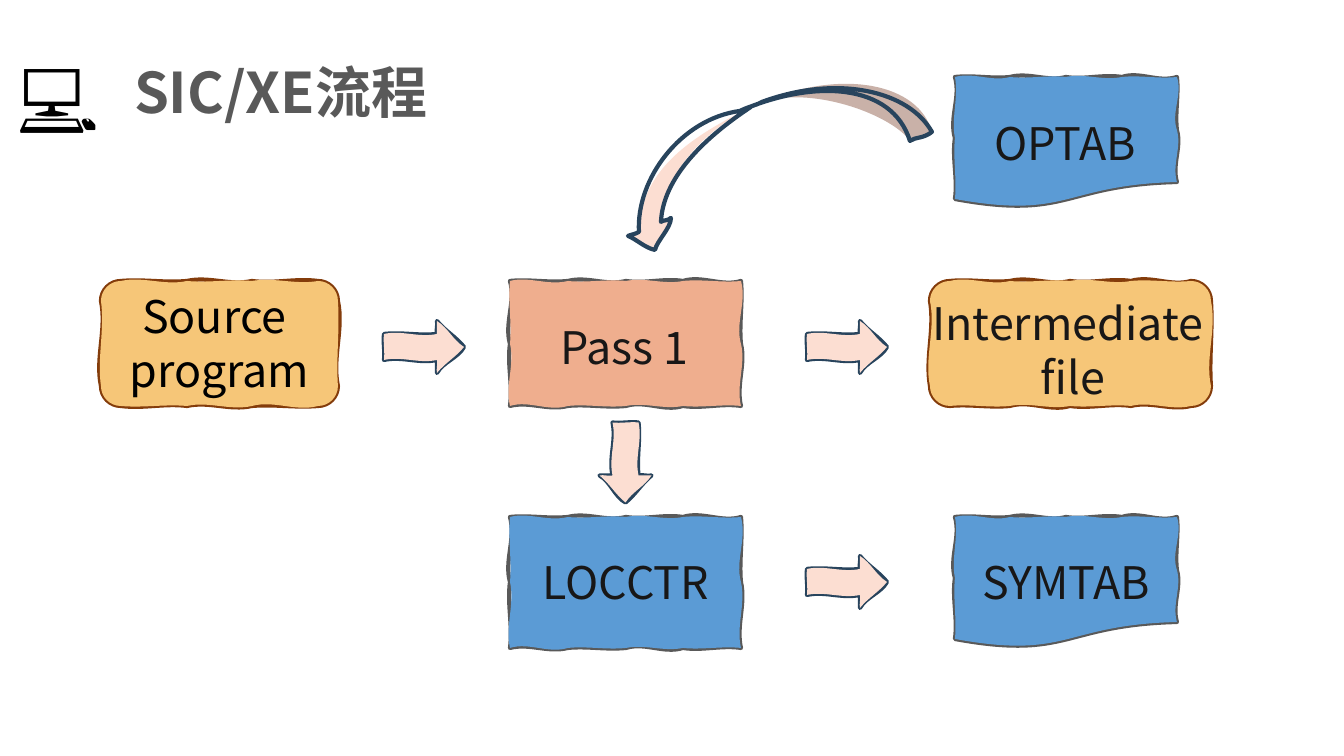
from copy import deepcopy
from itertools import cycle
from math import hypot

from lxml.etree import SubElement
from pptx import Presentation
from pptx.dml.color import RGBColor
from pptx.enum.text import MSO_ANCHOR, PP_ALIGN
from pptx.oxml.ns import qn
from pptx.util import Emu, Pt

SCALE = 914400 / 100.8  # EMU in one px
BLUE, SALMON, AMBER, PINK = "5B9BD5", "EFAE8E", "F6C678", "FCDED2"
GREY, BROWN, NAVY, INK = "595959", "843C0B", "28445D", "181717"


def px(n):
    return Emu(round(n * SCALE))


def rgb(value):
    return RGBColor.from_string(value)


def wobble(start, steps, swings):
    """Cubic control points: (x, y) is a shaky edge, a six-tuple one plain curve."""
    points, swing = [start], cycle(swings)
    for step in steps:
        x0, y0 = points[-1]
        if len(step) == 6:
            points += [step[:2], step[2:4], step[4:]]
            continue
        dx, dy = step[0] - x0, step[1] - y0
        length = hypot(dx, dy)
        pieces = max(1, round(length / 60))
        for i in range(pieces):
            d = next(swing) * min(1, length / 60) / length
            for t, side in ((1 / 3, d), (2 / 3, -d), (1, 0)):
                f = (i + t) / pieces
                points.append((x0 + dx * f + dy * side, y0 + dy * f - dx * side))
    return points


class Sketch:
    font = "Noto Sans CJK SC"

    def __init__(self, s):
        self.s = s

    def add_lines(self, tf, lines, size, color, align=None, bold=False):
        for i, line in enumerate(lines):
            p = tf.paragraphs[0] if i == 0 else tf.add_paragraph()
            p.alignment = align
            r = p.add_run()
            r.text = line
            r.font.size, r.font.bold, r.font.name = Pt(size), bold, self.font
            r.font.color.rgb = rgb(color)
            SubElement(r.font._element, qn("a:ea"), typeface=self.font)

    def title(self, text, x, y, w, h):
        sp = self.s.shapes.title
        sp.left, sp.top, sp.width, sp.height = map(px, (x, y, w, h))
        sp.text_frame.vertical_anchor = MSO_ANCHOR.TOP
        self.add_lines(sp.text_frame, [text], 40, GREY, PP_ALIGN.LEFT, True)

    def text(self, lines, x, y, w, h, size=32, color=INK, align=PP_ALIGN.CENTER, wrap=False):
        tf = self.s.shapes.add_textbox(*map(px, (x, y, w, h))).text_frame
        tf.word_wrap = wrap
        self.add_lines(tf, lines, size, color, align)

    def curves(self, contours, fill, line):
        """One freeform; each contour is (control points, path settings, closed)."""
        first = contours[0][0][0]
        builder = self.s.shapes.build_freeform(*first, scale=SCALE)
        for i, (points, _, closed) in enumerate(contours):
            if i:
                builder.move_to(*points[0])
            builder.add_line_segments(points[1:], close=closed)
        sp = builder.convert_to_shape()
        sp.shadow.inherit = False
        sp.fill.solid()
        sp.fill.fore_color.rgb = rgb(fill)
        sp.line.color.rgb = rgb(line)
        sp.line.width = Pt(3)
        # Give each contour its own path and join three points into a cubic
        whole = sp._element.find(".//" + qn("a:path"))
        blank = deepcopy(whole)
        for child in list(blank):
            blank.remove(child)
        settings = iter(contours)
        for node in list(whole):
            if node.tag == qn("a:moveTo"):
                part, cubic = deepcopy(blank), None
                for key, value in next(settings)[1].items():
                    part.set(key, value)
                whole.getparent().append(part)
            if node.tag == qn("a:lnTo"):
                if cubic is None or len(cubic) == 3:
                    cubic = SubElement(part, qn("a:cubicBezTo"))
                cubic.append(node[0])
            else:
                part.append(node)
        whole.getparent().remove(whole)
        return sp

    def shaky(self, start, steps, fill, line):
        """Pen outline with a slightly different fill laid over it."""
        return self.curves([
            (wobble(start, steps, (2, 5, -3, 6)), {"fill": "none"}, True),
            (wobble(start, steps, (5, -2, 4, 2, 6)), {"stroke": "0"}, True),
        ], fill, line)

    def box(self, x, y, w, h, fill):
        r, b = x + w, y + h
        self.shaky((x, y), [(r, y), (r, b), (x, b), (x, y)], fill, GREY)

    def round_box(self, x, y, w, h):
        r, b, c, k = x + w, y + h, 20, 9
        self.shaky((x, y + c), [
            (x, y + k, x + k, y, x + c, y), (r - c, y),
            (r - k, y, r, y + k, r, y + c), (r, b - c),
            (r, b - k, r - k, b, r - c, b), (x + c, b),
            (x + k, b, x, b - k, x, b - c), (x, y + c)], AMBER, BROWN)

    def document(self, x, y, w=222):
        r = x + w
        self.shaky((x, y), [
            (r, y), (r, y + 105),
            (x + 107, y + 108, x + 115, y + 143, x, y + 122), (x, y)], BLUE, GREY)

    def arrow(self, x, y, rotation=0):
        neck, tip = x + 53, x + 80
        self.shaky((x, y + 13), [
            (neck, y + 13), (neck, y), (tip, y + 26), (neck, y + 52),
            (neck, y + 39), (x, y + 39), (x, y + 13)], PINK, NAVY).rotation = rotation


def main():
    prs = Presentation()
    prs.slide_width, prs.slide_height = px(1344), px(756)
    sk = Sketch(prs.slides.add_slide(prs.slide_layouts[5]))

    # Heading
    sk.title("SIC/XE流程", 124, 52, 340, 78)
    sk.text(["💻"], 8, 41, 116, 102, size=54, color="000000", align=PP_ALIGN.LEFT, wrap=True)

    # Boxes
    sk.round_box(101, 281, 237, 125)
    sk.document(955, 77)
    sk.box(510, 281, 231, 125, SALMON)
    sk.round_box(930, 281, 281, 125)
    sk.box(510, 517, 231, 131, BLUE)
    sk.document(955, 517)

    # Labels
    sk.text(["Source ", "program"], 115, 284, 209, 119, color="000000")
    sk.text(["Pass 1"], 548, 315, 153, 65)
    sk.text(["OPTAB"], 982, 111, 167, 65)
    sk.text(["LOCCTR"], 529, 550, 194, 65)
    sk.text(["Intermediate ", "file"], 918, 291, 310, 119, wrap=True)
    sk.text(["SYMTAB"], 966, 550, 201, 65)

    # Straight arrows
    for x, y, rotation in ((384, 321, 0), (807, 321, 0), (807, 556, 0), (586, 436, 90)):
        sk.arrow(x, y, rotation)

    # Ribbon arrow from OPTAB to Pass 1: near half, far half, pen line
    head = [(645, 248), (636, 239), (628, 236), (630, 235), (636, 234), (639, 232)]
    near = [(655, 250), *head, (641, 172), (685, 140), (751, 107),
            (695, 136), (661, 183), (661, 222), (664, 221), (669, 219), (671, 218),
            (668, 229), (660, 233), (655, 250)]
    far = [(762, 102), (844, 68), (919, 84), (932, 132), (924, 137), (915, 138),
           (910, 141), (892, 114), (796, 77), (740, 111), (749, 106), (752, 108), (762, 102)]
    pen = [(751, 107), (704, 138), (663, 178), (661, 222), (663, 220), (668, 221),
           (671, 218), (671, 228), (657, 241), (655, 250), *head,
           (636, 179), (681, 119), (740, 111), (750, 106), (755, 106), (762, 102),
           (838, 74), (909, 91), (932, 132), (923, 139), (915, 137), (910, 141),
           (892, 83), (814, 79), (740, 111)]
    sk.curves([(near, {"stroke": "0"}, True),
               (far, {"stroke": "0", "fill": "darkenLess"}, True),
               (pen, {"fill": "none"}, False)], PINK, NAVY)

    prs.save("out.pptx")


if __name__ == "__main__":
    main()
